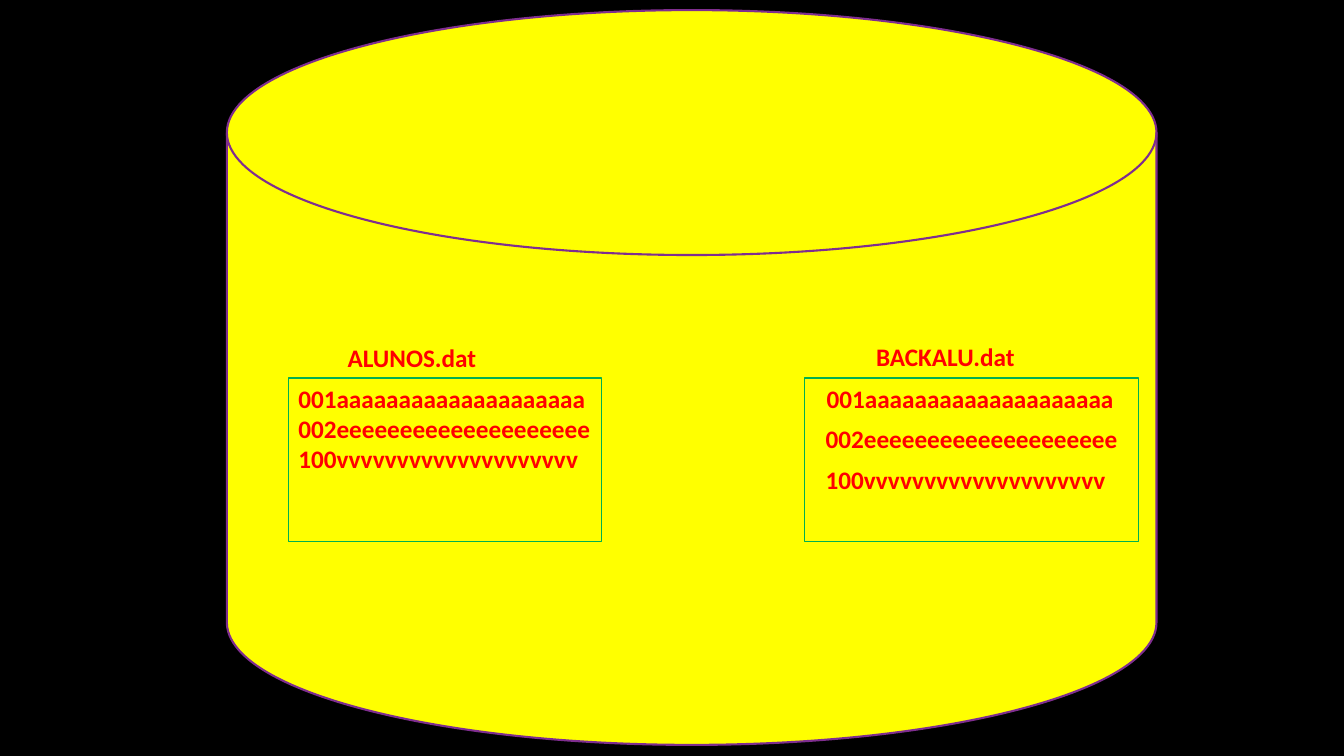
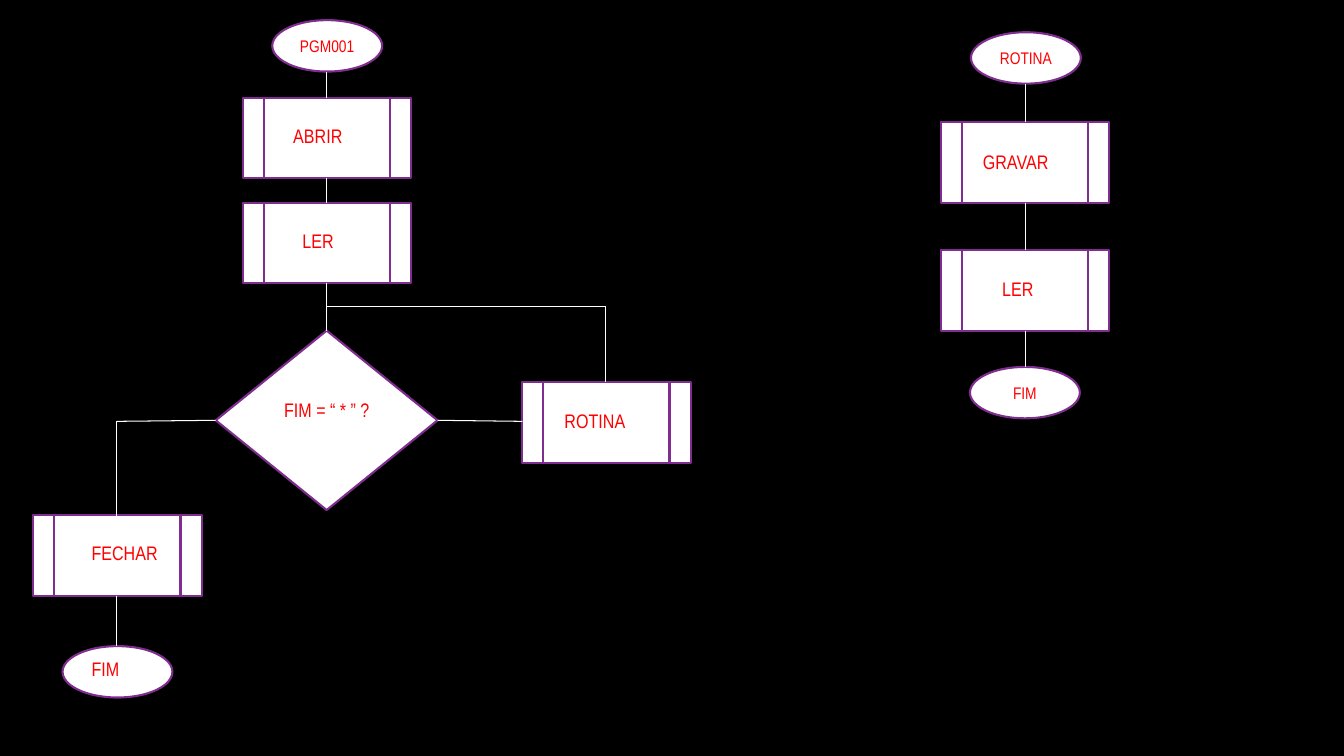
import lxml.etree
import pptx
import pptx.dml.color
import pptx.enum.shapes
import pptx.enum.text
import pptx.oxml.ns
import pptx.util

SHAPE = pptx.enum.shapes.MSO_SHAPE
ANCHOR = pptx.enum.text.MSO_ANCHOR
ALIGN = pptx.enum.text.PP_ALIGN

BLACK, WHITE, YELLOW = "000000", "FFFFFF", "FFFF00"
PURPLE, GREEN, RED = "7F2E8F", "00B050", "FF0000"

RECORD_FONT = {"name": "Calibri", "size": pptx.util.Pt(18), "bold": True}
STEP_FONT = {"name": "Arial Narrow", "size": pptx.util.Pt(14), "bold": False}
TERMINAL_FONT = {**STEP_FONT, "size": pptx.util.Pt(12)}

BOX_W, BOX_H = 167, 80
OVAL_W, OVAL_H = 109, 51
LABEL_H = 34
RECORDS = ["001aaaaaaaaaaaaaaaaaaaa", "002eeeeeeeeeeeeeeeeeeee", "100vvvvvvvvvvvvvvvvvvvv"]


def px(n):
    """Turn px, at 100 to the inch, into EMU."""
    return pptx.util.Emu(n * 9144)


def color(value):
    """Return the colour of a hex string."""
    return pptx.dml.color.RGBColor.from_string(value)


def set_all(obj, values):
    """Set each named attribute on an object."""
    for name, value in values.items():
        setattr(obj, name, value)


def write(shape, lines, font, align=ALIGN.LEFT, anchor=ANCHOR.TOP, wrap=False):
    """Write lines as red paragraphs in a shape."""
    tf = shape.text_frame
    set_all(tf, {"word_wrap": wrap, "vertical_anchor": anchor})
    tf.text = "\n".join(lines)
    for p in tf.paragraphs:
        p.alignment = align
        for r in p.runs:
            set_all(r.font, font)
            r.font.color.rgb = color(RED)


def add_shape(s, kind, x, y, w, h, fill=WHITE, line=PURPLE, width=1.5):
    """Add an outlined preset shape, without fill when fill is None."""
    sp = s.shapes.add_shape(kind, px(x), px(y), px(w), px(h))
    sp.shadow.inherit = False
    if fill:
        sp.fill.solid()
        sp.fill.fore_color.rgb = color(fill)
    else:
        sp.fill.background()
    sp.line.color.rgb = color(line)
    sp.line.width = pptx.util.Pt(width)
    return sp


def add_label(s, x, y, w, h, text, font):
    """Add a one-line text box."""
    write(s.shapes.add_textbox(px(x), px(y), px(w), px(h)), [text], font)


def add_file_box(s, x, w):
    """Add the green frame of a data file."""
    return add_shape(s, SHAPE.RECTANGLE, x, 375, w, 162, None, GREEN, 0.75)


def add_process(s, x, y, text, label_x, label_y, label_w):
    """Add a predefined process with its label."""
    add_shape(s, SHAPE.FLOWCHART_PREDEFINED_PROCESS, x, y, BOX_W, BOX_H)
    add_label(s, label_x, label_y, label_w, LABEL_H, text, STEP_FONT)


def add_terminal(s, x, y, text=None):
    """Add a start or end oval, with centred text if given."""
    sp = add_shape(s, SHAPE.OVAL, x, y, OVAL_W, OVAL_H)
    if text:
        write(sp, [text], TERMINAL_FONT, ALIGN.CENTER, ANCHOR.MIDDLE, True)


def add_line(s, x1, y1, x2, y2):
    """Add a thin white flow line."""
    c = s.shapes.add_connector(
        pptx.enum.shapes.MSO_CONNECTOR.STRAIGHT, px(x1), px(y1), px(x2), px(y2))
    c.line.color.rgb = color(WHITE)
    c.line.width = pptx.util.Pt(0.75)
    lxml.etree.SubElement(c._element.spPr, pptx.oxml.ns.qn("a:effectLst"))


def build_files(s):
    """Draw the disk with the data file and its backup."""
    add_shape(s, SHAPE.FLOWCHART_MAGNETIC_DISK, 225, 10, 922, 729, YELLOW)
    add_label(s, 335, 335, 149, 40, "ALUNOS.dat", RECORD_FONT)
    write(add_file_box(s, 286, 311), RECORDS, RECORD_FONT)
    add_file_box(s, 798, 331)
    add_label(s, 859, 334, 159, 40, "BACKALU.dat", RECORD_FONT)
    for text, x, y, w in zip(RECORDS, (810, 809, 809), (375, 415, 456), (308, 311, 300)):
        add_label(s, x, y, w, 40, text, RECORD_FONT)


def build_flowchart(s):
    """Draw the main program and its routine as flowcharts."""
    add_shape(s, SHAPE.FLOWCHART_DECISION, 214, 328, 220, 178)
    add_label(s, 272, 390, 106, LABEL_H, "FIM = “ * ” ?", STEP_FONT)
    for step in [
        (241, 97, "ABRIR", 281, 118, 69),
        (241, 201, "LER", 290, 222, 51),
        (518, 379, "ROTINA", 550, 401, 81),
        (33, 511, "FECHAR", 81, 532, 86),
        (933, 121, "GRAVAR", 965, 144, 86),
        (933, 248, "LER", 984, 270, 51),
    ]:
        add_process(s, *step)
    for terminal in [
        (270, 20, "PGM001"), (62, 641), (963, 32, "ROTINA"), (962, 364, "FIM"),
    ]:
        add_terminal(s, *terminal)
    add_label(s, 81, 647, 48, LABEL_H, "FIM", STEP_FONT)
    for x, y1, y2 in [
        (324, 71, 97), (324, 177, 201), (324, 281, 328),
        (116, 418, 525), (116, 591, 641), (601, 304, 379),
        (1017, 83, 121), (1017, 201, 248), (1017, 328, 364),
    ]:
        add_line(s, x, y1, x, y2)
    add_line(s, 324, 304, 601, 304)
    add_line(s, 434, 417, 518, 418)
    add_line(s, 214, 417, 116, 418)


def main():
    """Build both slides and save the presentation."""
    prs = pptx.Presentation()
    set_all(prs, {"slide_width": px(1333), "slide_height": px(750)})
    fill = prs.slide_master.background.fill
    fill.solid()
    fill.fore_color.rgb = color(BLACK)
    for build in (build_files, build_flowchart):
        build(prs.slides.add_slide(prs.slide_layouts[6]))
    prs.save("out.pptx")


if __name__ == "__main__":
    main()
